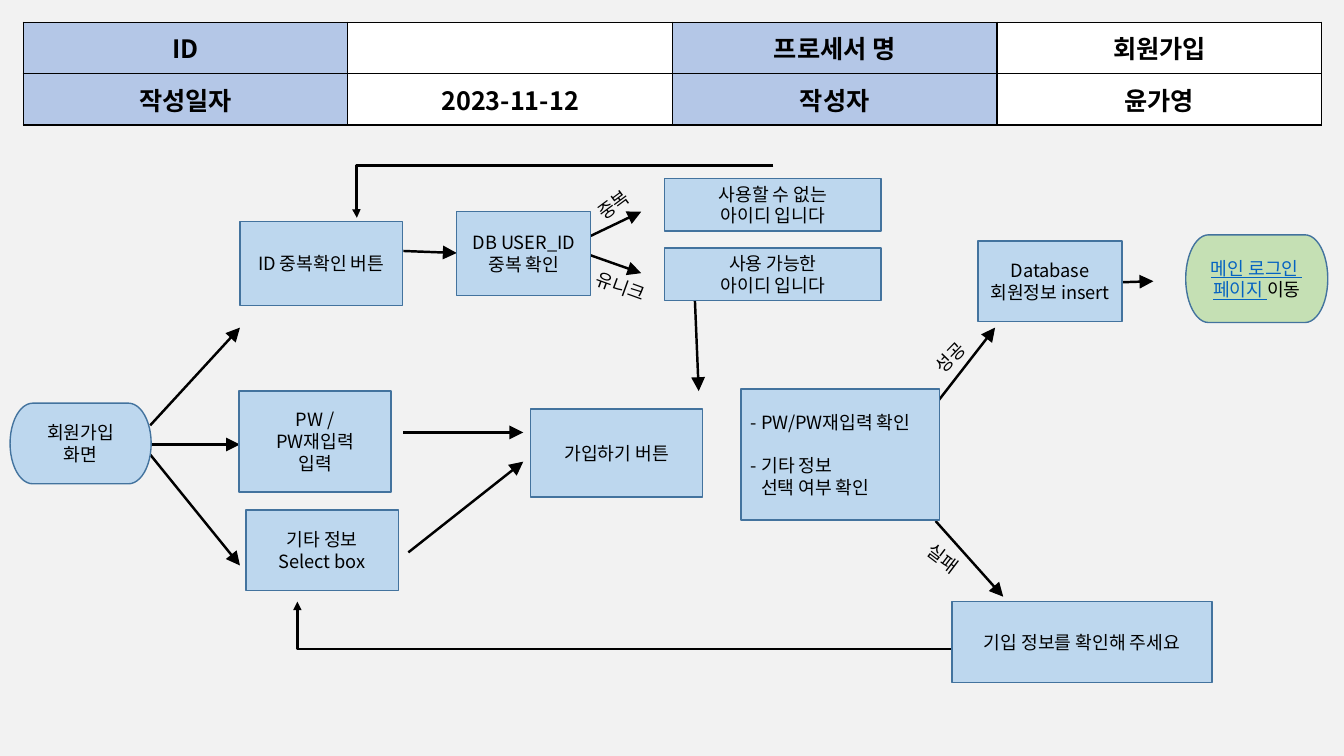
from dataclasses import dataclass

from lxml.etree import SubElement
from pptx import Presentation
from pptx.dml.color import RGBColor
from pptx.enum.shapes import MSO_CONNECTOR, MSO_SHAPE
from pptx.enum.text import MSO_ANCHOR, MSO_AUTO_SIZE, PP_ALIGN
from pptx.oxml.ns import qn
from pptx.util import Emu, Pt


@dataclass(frozen=True)
class Theme:
    """Colours, font and sizes of the slide."""
    background: str = "F2F2F2"
    ink: str = "000000"
    link: str = "0563C1"
    step: str = "BDD7EE"
    goal: str = "C5E0B4"
    outline: str = "43739E"
    heading: str = "B4C7E7"
    paper: str = "FFFFFF"
    font: str = "Noto Sans CJK KR"
    body: int = 13
    title: int = 18
    border: float = 1
    arrow: float = 1.75
    elbow: float = 2


def px(length):
    """Turn pixels, 100 to the inch, into EMU."""
    return Emu(length * 9144)


def apply(target, values):
    """Set every format value on the target."""
    for key, value in values.items():
        setattr(target, key, value)


class FlowSlide:
    """Draws the elements of a process flow on one slide."""

    def __init__(self, deck, theme):
        """Add a blank slide with the theme background."""
        self.theme = theme
        self.slide = deck.slides.add_slide(deck.slide_layouts[6])
        self.paint(self.slide.background.fill, theme.background)

    def paint(self, fill, colour):
        """Give a fill one solid colour."""
        fill.solid()
        fill.fore_color.rgb = RGBColor.from_string(colour)

    def fill_text(self, frame, paragraphs, align, size, bold=False):
        """Fill a frame with paragraphs, each a string or a list of runs with formats."""
        for index, content in enumerate(paragraphs):
            paragraph = frame.paragraphs[0] if index == 0 else frame.add_paragraph()
            paragraph.alignment = align
            runs = [(content, {})] if isinstance(content, str) else content
            for words, look in runs:
                run = paragraph.add_run()
                run.text = words
                values = {"name": self.theme.font, "size": Pt(size), "bold": bold}
                apply(run.font, values | {"underline": look.get("underline", False)})
                colour = look.get("colour", self.theme.ink)
                run.font.color.rgb = RGBColor.from_string(colour)
                SubElement(run.font._element, qn("a:ea"), typeface=self.theme.font)

    def table(self, left, top, column, row, rows):
        """Draw a bordered table whose even columns are headings."""
        theme = self.theme
        count = len(rows[0])
        grid = self.slide.shapes.add_table(
            len(rows), count, px(left), px(top), px(column * count), px(row * len(rows))
        ).table
        for row_index, entries in enumerate(rows):
            for column_index, entry in enumerate(entries):
                cell = grid.cell(row_index, column_index)
                cell.vertical_anchor = MSO_ANCHOR.MIDDLE
                for side in ("a:lnL", "a:lnR", "a:lnT", "a:lnB"):
                    border = SubElement(
                        cell._tc.get_or_add_tcPr(), qn(side), w=str(Pt(theme.border)))
                    solid = SubElement(border, qn("a:solidFill"))
                    SubElement(solid, qn("a:srgbClr"), val=theme.ink)
                self.paint(cell.fill, theme.paper if column_index % 2 else theme.heading)
                if entry:
                    self.fill_text(cell.text_frame, [entry], PP_ALIGN.CENTER, theme.title, True)

    def step(self, box, paragraphs, kind=MSO_SHAPE.RECTANGLE, fill=None,
             align=PP_ALIGN.CENTER):
        """Draw one outlined step and return its text frame."""
        node = self.slide.shapes.add_shape(kind, *map(px, box))
        node.shadow.inherit = False
        self.paint(node.fill, fill or self.theme.step)
        self.paint(node.line.fill, self.theme.outline)
        node.line.width = Pt(self.theme.border)
        frame = node.text_frame
        apply(frame, {"word_wrap": True, "vertical_anchor": MSO_ANCHOR.MIDDLE})
        self.fill_text(frame, paragraphs, align, self.theme.body)
        return frame

    def label(self, box, words, rotation):
        """Draw a rotated branch label."""
        note = self.slide.shapes.add_textbox(*map(px, box))
        note.rotation = rotation
        apply(note.text_frame,
              {"word_wrap": True, "auto_size": MSO_AUTO_SIZE.SHAPE_TO_FIT_TEXT})
        self.fill_text(note.text_frame, [words], PP_ALIGN.LEFT, self.theme.body)

    def arrow(self, ends, kind=MSO_CONNECTOR.STRAIGHT, width=None, head="lg"):
        """Draw a connector with an arrowhead at its end."""
        link = self.slide.shapes.add_connector(kind, *map(px, ends))
        self.paint(link.line.fill, self.theme.ink)
        link.line.width = Pt(width or self.theme.arrow)
        SubElement(link.line._get_or_add_ln(), qn("a:tailEnd"),
                   type="triangle", w=head, len=head)
        SubElement(link._element.spPr, qn("a:effectLst"))
        return link

    def return_arrow(self, ends, bend):
        """Draw an elbow that turns at the given share of its width."""
        link = self.arrow(ends, MSO_CONNECTOR.ELBOW, self.theme.elbow, "med")
        geometry = link._element.spPr.find(qn("a:prstGeom"))
        adjustments = geometry.find(qn("a:avLst"))
        if adjustments is None:
            adjustments = SubElement(geometry, qn("a:avLst"))
        SubElement(adjustments, qn("a:gd"), name="adj1", fmla=f"val {bend}")


def main():
    """Build and save the sign-up process slide."""
    deck = Presentation()
    apply(deck, {"slide_width": px(1333), "slide_height": px(750)})
    theme = Theme()
    flow = FlowSlide(deck, theme)

    flow.table(23, 22, 322, 51, [
        ["ID", "", "프로세서 명", "회원가입"],
        ["작성일자", "2023-11-12", "작성자", "윤가영"],
    ])

    for ends in [
        (149, 441, 238, 441), (149, 422, 238, 325), (149, 451, 238, 561),
        (400, 249, 453, 251), (928, 401, 987, 325), (1113, 280, 1144, 279),
        (586, 234, 636, 210), (585, 253, 636, 271), (400, 429, 519, 429),
        (689, 292, 693, 388), (405, 548, 519, 458), (928, 517, 995, 592),
    ]:
        flow.arrow(ends)
    flow.return_arrow((767, 164, 354, 216), 100100)
    flow.return_arrow((958, 644, 295, 597), 100000)

    for box, paragraphs in [
        ((238, 220, 161, 83), ["ID 중복확인 버튼"]),
        ((237, 388, 151, 100), ["PW /", "PW재입력", "입력"]),
        ((244, 506, 151, 80), ["기타 정보", "Select box"]),
        ((453, 210, 133, 83), ["DB USER_ID", "중복 확인"]),
        ((659, 177, 215, 52), ["사용할 수 없는", "아이디 입니다"]),
        ((659, 246, 215, 52), ["사용 가능한", "아이디 입니다"]),
        ((526, 406, 171, 87), ["가입하기 버튼"]),
        ((970, 239, 143, 80), ["Database", "회원정보 insert"]),
        ((944, 597, 258, 80), ["기입 정보를 확인해 주세요"]),
    ]:
        flow.step(box, paragraphs)

    checks = flow.step(
        (735, 386, 197, 130),
        ["- PW/PW재입력 확인", "- 기타 정보", "선택 여부 확인"],
        align=PP_ALIGN.JUSTIFY)
    checks.paragraphs[1].space_before = Pt(15.5)
    checks.paragraphs[2]._p.get_or_add_pPr().set("marL", str(px(10)))

    terminator = MSO_SHAPE.FLOWCHART_TERMINATOR
    flow.step((10, 400, 140, 80), ["회원가입", "화면"], terminator)
    linked = {"colour": theme.link, "underline": True}
    flow.step((1176, 233, 141, 87),
              [[("메인 로그인 ", linked)], [("페이지 ", linked), ("이동", {})]],
              terminator, theme.goal)

    for box, words, rotation in [
        ((911, 327, 86, 32), "성공", 314.1),
        ((581, 184, 64, 32), "중복", 323.4),
        ((580, 274, 104, 32), "유니크", 20),
        ((904, 552, 99, 32), "실패", 37.3),
    ]:
        flow.label(box, words, rotation)

    deck.save("out.pptx")


if __name__ == "__main__":
    main()
